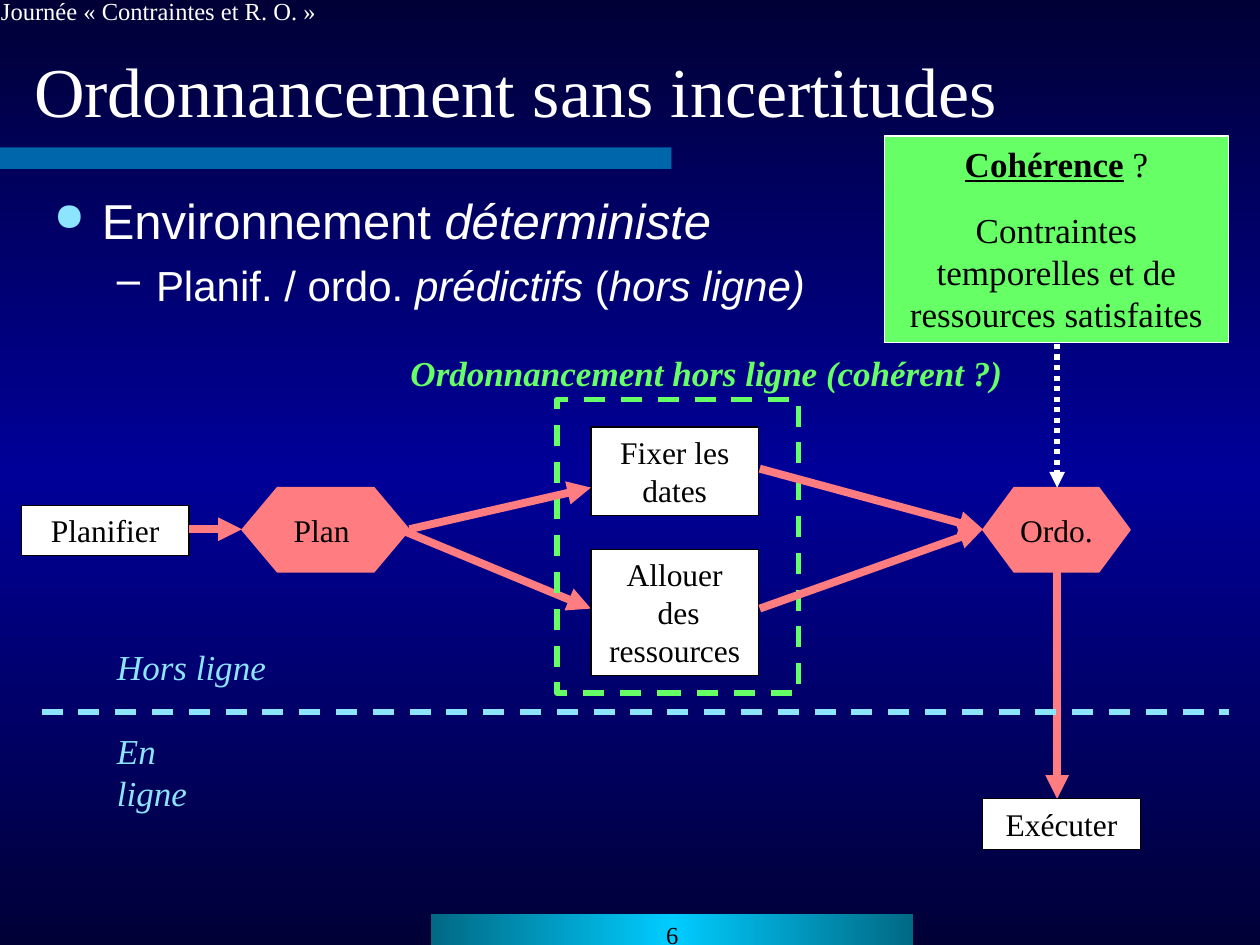
from dataclasses import dataclass

from lxml import etree
from pptx import Presentation
from pptx.dml.color import RGBColor
from pptx.enum import dml, shapes, text
from pptx.oxml.ns import qn
from pptx.util import Inches, Pt

WHITE = RGBColor(0xFF, 0xFF, 0xFF)
BLACK = RGBColor(0, 0, 0)
NAVY = RGBColor(0x00, 0x00, 0x37)
BLUE = RGBColor(0x00, 0x00, 0x99)
CYAN = RGBColor(0x00, 0xCC, 0xFF)
TEAL = RGBColor(0x00, 0x69, 0x84)
SKY = RGBColor(0x8D, 0xE4, 0xFF)
CORAL = RGBColor(0xFF, 0x7C, 0x80)
GREEN = RGBColor(0x66, 0xFF, 0x66)
SERIF, SANS = "Times New Roman", "Arial"
RECT, HEXAGON = shapes.MSO_SHAPE.RECTANGLE, shapes.MSO_SHAPE.HEXAGON
CENTER = text.PP_ALIGN.CENTER
DASH, DOTS = dml.MSO_LINE.DASH, dml.MSO_LINE.ROUND_DOT


@dataclass
class Step:
    """A box of the scheduling flow; slant is set for hexagons only."""
    lines: tuple[str, ...]
    left: float
    top: float
    width: float
    height: float
    slant: float | None = None


@dataclass
class Link:
    start: tuple[float, float]
    end: tuple[float, float]
    color: RGBColor = CORAL
    weight: float = 4.5
    dash: dml.MSO_LINE | None = None
    arrow: bool = True


@dataclass
class Label:
    words: str
    left: float
    top: float
    width: float
    height: float
    color: RGBColor
    size: int = 20
    bold: bool = False
    italic: bool = True


def style(paragraph, size: int, color: RGBColor, face: str = SERIF) -> None:
    paragraph.font.size = Pt(size)
    paragraph.font.name = face
    paragraph.font.color.rgb = color


def mirror_gradient(fill, owner, edge: RGBColor, middle: RGBColor, angle: int) -> None:
    fill.gradient()
    fill.gradient_angle = angle
    stops = next(owner.iter(qn("a:gsLst")))
    for stop in list(stops):
        stops.remove(stop)
    for position, color in ((0, edge), (50000, middle), (100000, edge)):
        stop = etree.SubElement(stops, qn("a:gs"), pos=str(position))
        etree.SubElement(stop, qn("a:srgbClr"), val=str(color))


def add_box(slide, kind, left: float, top: float, width: float, height: float,
            fill: RGBColor | None = None, line: RGBColor | None = None, weight: float = 0.75):
    box = slide.shapes.add_shape(kind, Inches(left), Inches(top), Inches(width), Inches(height))
    box.shadow.inherit = False
    if fill is None:
        box.fill.background()
    else:
        box.fill.solid()
        box.fill.fore_color.rgb = fill
    if line is None:
        box.line.fill.background()
    else:
        box.line.color.rgb = line
        box.line.width = Pt(weight)
    box.text_frame.vertical_anchor = text.MSO_ANCHOR.TOP
    return box


def add_step(slide, step: Step) -> None:
    is_hexagon = step.slant is not None
    box = add_box(slide, HEXAGON if is_hexagon else RECT, step.left, step.top, step.width,
                  step.height, CORAL if is_hexagon else WHITE, CORAL if is_hexagon else BLACK)
    frame = box.text_frame
    frame.word_wrap = not is_hexagon
    if is_hexagon:
        box.adjustments[0] = step.slant
        frame.vertical_anchor = text.MSO_ANCHOR.MIDDLE
    frame.text = "\n".join(step.lines)
    for paragraph in frame.paragraphs:
        paragraph.alignment = CENTER
        style(paragraph, 18, BLACK)


def add_link(slide, link: Link) -> None:
    connector = slide.shapes.add_connector(
        shapes.MSO_CONNECTOR.STRAIGHT, *map(Inches, link.start + link.end))
    connector.line.color.rgb = link.color
    connector.line.width = Pt(link.weight)
    if link.dash is not None:
        connector.line.dash_style = link.dash
    if link.arrow:
        etree.SubElement(connector.line._get_or_add_ln(), qn("a:tailEnd"), type="triangle")
    etree.SubElement(connector.element.spPr, qn("a:effectLst"))


def add_label(slide, label: Label) -> None:
    box = slide.shapes.add_textbox(
        Inches(label.left), Inches(label.top), Inches(label.width), Inches(label.height))
    box.text_frame.word_wrap = False
    paragraph = box.text_frame.paragraphs[0]
    paragraph.text = label.words
    style(paragraph, label.size, label.color)
    paragraph.font.bold, paragraph.font.italic = label.bold, label.italic


def add_bullet(paragraph, mark: str, color: RGBColor, scale: int, margin: float,
               hang: float, size: int, parts: tuple[str, ...]) -> None:
    """Parts alternate between upright and italic."""
    properties = paragraph._p.get_or_add_pPr()
    properties.set("marL", str(Inches(margin)))
    properties.set("indent", str(-Inches(hang)))
    mark_color = etree.SubElement(properties, qn("a:buClr"))
    etree.SubElement(mark_color, qn("a:srgbClr"), val=str(color))
    etree.SubElement(properties, qn("a:buSzPct"), val=str(scale * 1000))
    etree.SubElement(properties, qn("a:buChar"), char=mark)
    style(paragraph, size, WHITE, SANS)
    for index, words in enumerate(parts):
        run = paragraph.add_run()
        run.text = words
        run.font.italic = index % 2 == 1


def main() -> None:
    deck = Presentation()
    deck.slide_width, deck.slide_height = Inches(10), Inches(7.5)
    slide = deck.slides.add_slide(deck.slide_layouts[5])
    mirror_gradient(slide.background.fill, slide.element, NAVY, BLUE, 90)

    # Title, header and decorative bars
    title = slide.shapes.title
    title.left, title.top, title.width, title.height = map(Inches, (0.17, 0.25, 9.67, 0.92))
    title.text_frame.text = "Ordonnancement sans incertitudes"
    title.text_frame.vertical_anchor = text.MSO_ANCHOR.MIDDLE
    title.text_frame.auto_size = text.MSO_AUTO_SIZE.NONE
    title.text_frame.paragraphs[0].alignment = text.PP_ALIGN.LEFT
    style(title.text_frame.paragraphs[0], 40, WHITE)

    title_bar = add_box(slide, RECT, 0, 1.17, 5.33, 0.17, CYAN)
    bar_color = next(title_bar.element.spPr.iter(qn("a:srgbClr")))
    etree.SubElement(bar_color, qn("a:alpha"), val="50000")

    page_bar = add_box(slide, RECT, 3.42, 7.25, 3.83, 0.25, CYAN)
    mirror_gradient(page_bar.fill, page_bar.element, TEAL, CYAN, 0)
    page_number = page_bar.text_frame.paragraphs[0]
    page_number.text = "6"
    page_number.alignment = CENTER
    style(page_number, 14, BLACK)
    add_label(slide, Label("Journée « Contraintes et R. O. »", -0.09, -0.08, 2.7, 0.33,
                           WHITE, 14, italic=False))

    # Bulleted statement
    statement = slide.shapes.add_textbox(*map(Inches, (0.33, 1.46, 6.25, 1.71))).text_frame
    statement.word_wrap = True
    add_bullet(statement.paragraphs[0], "●", SKY, 80, 0.38, 0.38, 28,
               ("Environnement ", "déterministe"))
    detail = statement.add_paragraph()
    detail.level = 1
    add_bullet(detail, "–", WHITE, 100, 0.81, 0.31, 24,
               ("Planif. / ordo. ", "prédictifs", " (", "hors ligne)"))
    detail.space_before = Pt(6)

    # Scheduling flow: links that run under the boxes, then the boxes
    flow_y, dates_y, resources_y, ordo_x = 4.2, 3.87, 4.83, 8.39
    for link in (Link((ordo_x, 4.53), (ordo_x, 6.34)),
                 Link((3.17, flow_y), (4.69, resources_y))):
        add_link(slide, link)
    for step in (Step(("Exécuter",), 7.8, 6.34, 1.25, 0.4),
                 Step(("Ordo.",), 7.8, 3.87, 1.17, 0.67, 0.37),
                 Step(("Allouer", " des ressources"), 4.69, 4.36, 1.33, 1),
                 Step(("Fixer les", "dates"), 4.69, 3.39, 1.33, 0.7),
                 Step(("Plan ",), 1.92, 3.87, 1.33, 0.67, 0.42),
                 Step(("Planifier",), 0.17, 4.01, 1.33, 0.4)):
        add_step(slide, step)

    # Consistency note
    note = add_box(slide, RECT, 7.02, 1.08, 2.73, 1.64, GREEN, WHITE).text_frame
    note.word_wrap = True
    question, answer = note.paragraphs[0], note.add_paragraph()
    heading = question.add_run()
    heading.text = "Cohérence"
    heading.font.bold = heading.font.underline = True
    question.add_run().text = " ?"
    answer.text = "Contraintes temporelles et de ressources satisfaites"
    answer.space_before = Pt(14)
    for paragraph in (question, answer):
        paragraph.alignment = CENTER
        style(paragraph, 20, BLACK)

    # Offline frame, dividing line and remaining links
    offline_frame = add_box(slide, RECT, 4.42, 3.17, 1.92, 2.33, line=GREEN, weight=3)
    offline_frame.line.dash_style = DASH
    for link in (Link((ordo_x, 2.73), (ordo_x, 3.87), WHITE, 3, DOTS),
                 Link((1.5, flow_y), (1.92, flow_y)),
                 Link((0.33, 5.65), (9.75, 5.65), SKY, 3, DASH, arrow=False),
                 Link((3.25, flow_y), (4.69, dates_y)),
                 Link((6.03, 3.72), (7.8, flow_y)),
                 Link((6.03, resources_y), (7.8, flow_y))):
        add_link(slide, link)
    for label in (Label("Hors ligne", 0.83, 5.07, 1.38, 0.44, SKY),
                  Label("En ligne", 0.83, 5.74, 1.13, 0.44, SKY),
                  Label("Ordonnancement hors ligne (cohérent ?)", 3.16, 2.74, 4.9, 0.44,
                        GREEN, bold=True)):
        add_label(slide, label)

    deck.save("out.pptx")


if __name__ == "__main__":
    main()
